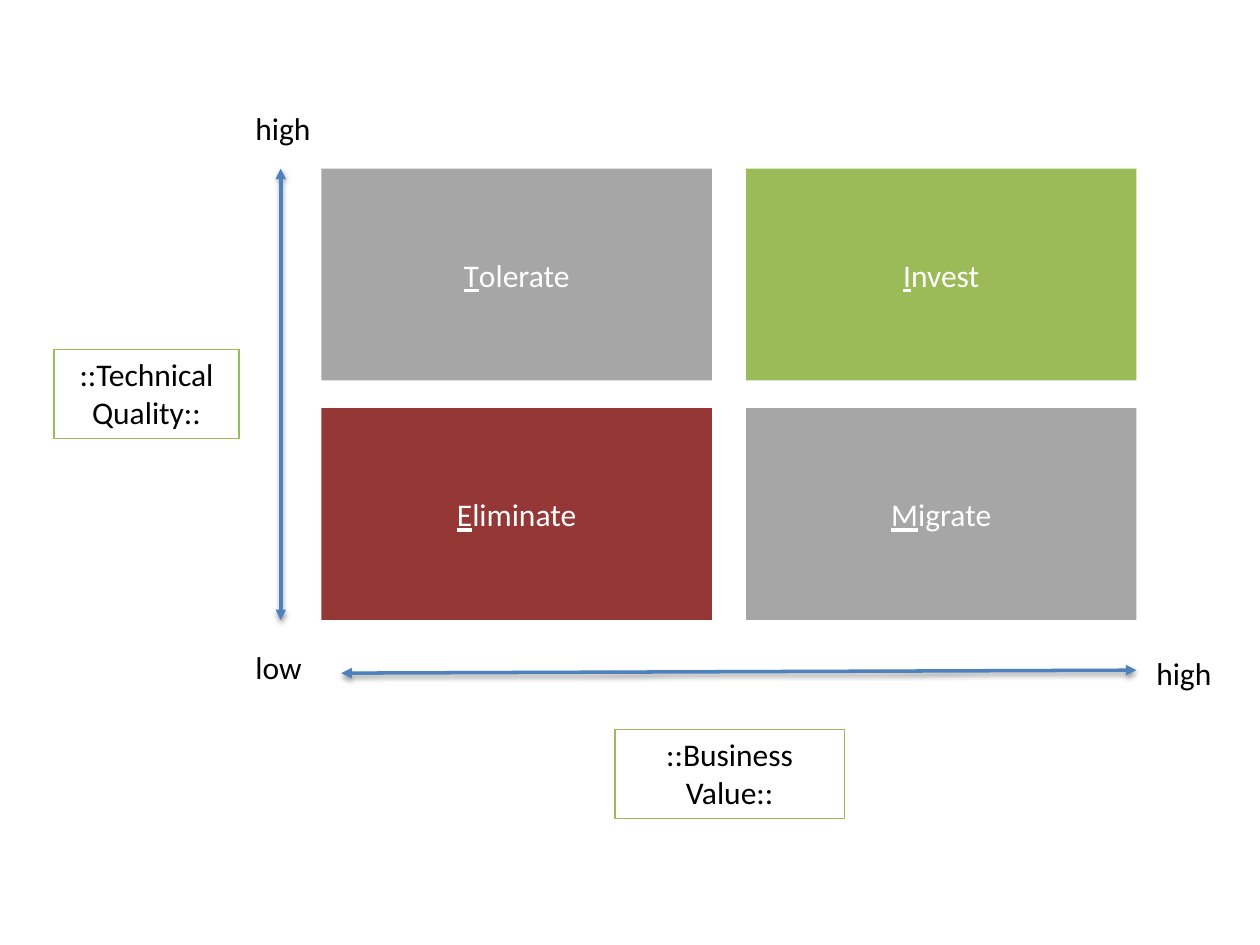
from collections import namedtuple
from dataclasses import dataclass
from lxml import etree
from pptx import Presentation
from pptx.dml.color import RGBColor
from pptx.enum.shapes import MSO_CONNECTOR, MSO_SHAPE
from pptx.enum.text import MSO_ANCHOR, MSO_AUTO_SIZE, PP_ALIGN
from pptx.oxml.ns import qn
from pptx.util import Cm, Pt

RECT = MSO_SHAPE.RECTANGLE
LINE = MSO_CONNECTOR.STRAIGHT
MIDDLE, TOP = MSO_ANCHOR.MIDDLE, MSO_ANCHOR.TOP
GROW = MSO_AUTO_SIZE.SHAPE_TO_FIT_TEXT
LEFT, CENTER = PP_ALIGN.LEFT, PP_ALIGN.CENTER

Box = namedtuple("Box", "x y w h")


@dataclass(frozen=True)
class Theme:
    font: str = "Calibri"
    size: float = 18
    ink: str = "000000"
    light: str = "FFFFFF"
    gray: str = "A6A6A6"
    green: str = "9BBB59"
    red: str = "953735"
    blue: str = "4F81BD"
    frame: float = 0.75
    arrow: float = 2


THEME = Theme()


def color(code):
    return RGBColor.from_string(code)


def style(para, code, align):
    para.alignment = align
    for run in para.runs:
        run.font.name = THEME.font
        run.font.size = Pt(THEME.size)
        run.font.color.rgb = color(code)


def add_rect(slide, box):
    rect = slide.shapes.add_shape(RECT, *map(Cm, box))
    rect.shadow.inherit = False
    rect.text_frame.word_wrap = True
    return rect


def add_cell(slide, box, word, fill):
    cell = add_rect(slide, box)
    cell.fill.solid()
    cell.fill.fore_color.rgb = color(fill)
    cell.line.fill.background()
    cell.text_frame.vertical_anchor = MIDDLE
    para = cell.text_frame.paragraphs[0]
    para.text = word[0]
    para.add_run().text = word[1:]
    style(para, THEME.light, CENTER)
    para.runs[0].font.underline = True


def add_title(slide, box, text):
    title = add_rect(slide, box)
    title.fill.background()
    title.line.color.rgb = color(THEME.green)
    title.line.width = Pt(THEME.frame)
    frame = title.text_frame
    frame.vertical_anchor = TOP
    frame.auto_size = GROW
    frame.text = text
    style(frame.paragraphs[0], THEME.ink, CENTER)


def add_label(slide, box, text):
    frame = slide.shapes.add_textbox(*map(Cm, box)).text_frame
    frame.word_wrap = True
    frame.auto_size = GROW
    frame.text = text
    style(frame.paragraphs[0], THEME.ink, LEFT)


def add_arrow(slide, *ends):
    arrow = slide.shapes.add_connector(LINE, *map(Cm, ends))
    arrow.line.color.rgb = color(THEME.blue)
    arrow.line.width = Pt(THEME.arrow)
    props = arrow.element.spPr
    for tag in ("a:headEnd", "a:tailEnd"):
        etree.SubElement(props.find(qn("a:ln")), qn(tag), type="triangle")
    glow = etree.SubElement(props, qn("a:effectLst"))
    shade = etree.SubElement(glow, qn("a:outerShdw"), blurRad="40000",
                             dist="20000", dir="5400000", rotWithShape="0")
    tone = etree.SubElement(shade, qn("a:srgbClr"), val=THEME.ink)
    etree.SubElement(tone, qn("a:alpha"), val="38000")


def add_grid(slide, box):
    rows = ((("Tolerate", THEME.gray), ("Invest", THEME.green)),
            (("Eliminate", THEME.red), ("Migrate", THEME.gray)))
    wide, tall = 7.87, 4.27
    for r, row in enumerate(rows):
        for c, (word, fill) in enumerate(row):
            spot = Box(box.x + c * (box.w - wide),
                       box.y + r * (box.h - tall), wide, tall)
            add_cell(slide, spot, word, fill)


def add_rise(slide, box):
    x, low = box.x - 0.82, box.y + box.h
    add_title(slide, Box(box.x - 5.39, box.y + 3.64, 3.73, 1.8),
              "::Technical Quality::")
    add_arrow(slide, x, box.y, x, low)
    add_label(slide, Box(box.x - 1.58, box.y - 1.32, 2.26, 1.02), "high")
    add_label(slide, Box(box.x - 1.58, low + 0.43, 1.52, 1.02), "low")


def add_run(slide, box):
    end, low = box.x + box.w, box.y + box.h
    add_title(slide, Box(box.x + 5.92, low + 2.2, 4.62, 1.8),
              "::Business Value::")
    add_arrow(slide, box.x + 0.4, low + 1.07, end, low + 1.01)
    add_label(slide, Box(end + 0.15, low + 0.56, 1.98, 1.02), "high")


def build():
    deck = Presentation()
    deck.slide_width, deck.slide_height = Cm(25.4), Cm(19.05)
    slide = deck.slides.add_slide(deck.slide_layouts[6])
    grid = Box(6.48, 3.4, 16.43, 9.1)
    for part in (add_grid, add_rise, add_run):
        part(slide, grid)
    deck.save("out.pptx")


build()
